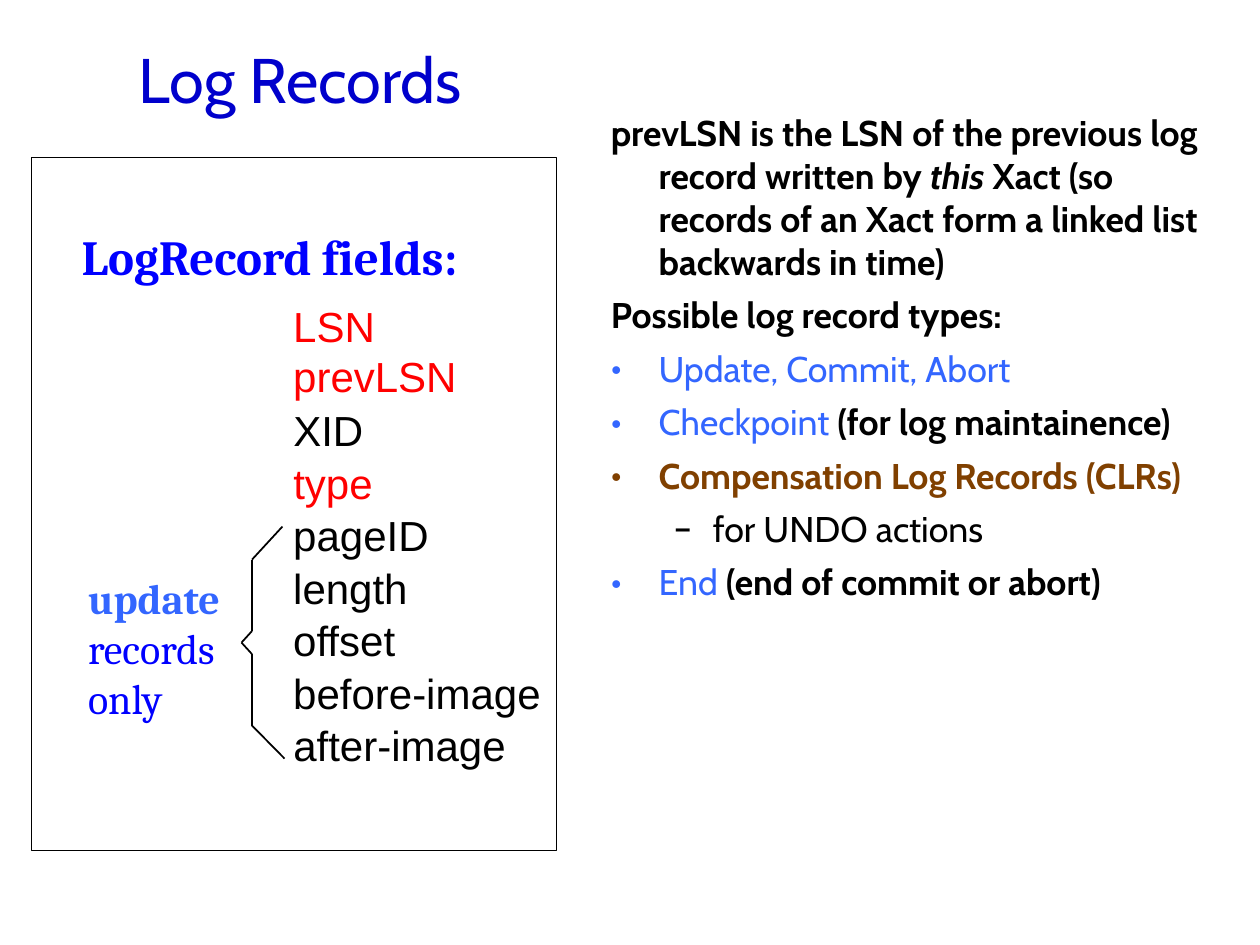
from dataclasses import dataclass
from itertools import pairwise

import lxml.etree
import pptx
import pptx.dml.color
import pptx.enum.shapes
import pptx.enum.text
import pptx.oxml.ns
import pptx.util

COLORS = {
    "title": "0000CC",
    "label": "0000FF",
    "accent": "3366FF",
    "record": "804000",
    "key": "FF0000",
    "ink": "000000",
}
SLIDE_WIDTH, SLIDE_HEIGHT = 10, 7.5
GRID_COLUMNS = 24
CELL = SLIDE_WIDTH / GRID_COLUMNS


@dataclass
class Span:
    text: str
    color: str = "ink"
    bold: bool = False
    italic: bool = False


@dataclass
class Para:
    spans: list[Span]
    bullet: str = ""
    margin: float = 0
    indent: float = 0
    space: float = 0
    level: int = 0


@dataclass
class Area:
    column: float
    row: float
    columns: float
    rows: float

    def lengths(self) -> list[int]:
        return [grid(value) for value in (self.column, self.row, self.columns, self.rows)]


@dataclass
class Label:
    area: Area
    paras: list[Para]
    font: str
    size: float


def grid(cells: float) -> int:
    return pptx.util.Inches(cells * CELL)


def rgb(name: str) -> pptx.dml.color.RGBColor:
    return pptx.dml.color.RGBColor.from_string(COLORS[name])


def set_bullet(paragraph, para: Para, font: str) -> None:
    properties = paragraph._p.get_or_add_pPr()
    properties.set("marL", str(pptx.util.Inches(para.margin)))
    properties.set("indent", str(pptx.util.Inches(para.indent)))
    if not para.bullet:
        lxml.etree.SubElement(properties, pptx.oxml.ns.qn("a:buNone"))
        return
    color = lxml.etree.SubElement(properties, pptx.oxml.ns.qn("a:buClr"))
    value = lxml.etree.SubElement(color, pptx.oxml.ns.qn("a:srgbClr"))
    value.set("val", COLORS[para.spans[0].color])
    face = lxml.etree.SubElement(properties, pptx.oxml.ns.qn("a:buFont"))
    face.set("typeface", font)
    mark = lxml.etree.SubElement(properties, pptx.oxml.ns.qn("a:buChar"))
    mark.set("char", para.bullet)


def write(frame, paras: list[Para], font: str, size: float) -> None:
    frame.text = "\n".join("" for para in paras)
    for paragraph, para in zip(frame.paragraphs, paras):
        paragraph.alignment = pptx.enum.text.PP_ALIGN.LEFT
        paragraph.level = para.level
        paragraph.space_before = pptx.util.Pt(para.space)
        set_bullet(paragraph, para, font)
        for span in para.spans:
            run = paragraph.add_run()
            run.text = span.text
            run.font.name = font
            run.font.size = pptx.util.Pt(size)
            run.font.bold = span.bold
            run.font.italic = span.italic
            run.font.color.rgb = rgb(span.color)


def add_label(page, label: Label, wrap: bool = False) -> None:
    frame = page.shapes.add_textbox(*label.area.lengths()).text_frame
    frame.word_wrap = wrap
    sizes = pptx.enum.text.MSO_AUTO_SIZE
    frame.auto_size = sizes.NONE if wrap else sizes.SHAPE_TO_FIT_TEXT
    write(frame, label.paras, label.font, label.size)


def add_brace(page, points: list[tuple[float, float]]) -> None:
    for start, end in pairwise(points):
        line = page.shapes.add_connector(
            pptx.enum.shapes.MSO_CONNECTOR.STRAIGHT, *map(grid, start + end)
        )
        line.line.color.rgb = rgb("ink")
        line.line.width = pptx.util.Pt(1)
        lxml.etree.SubElement(line._element.spPr, pptx.oxml.ns.qn("a:effectLst"))


def add_frame(page, area: Area) -> None:
    box = page.shapes.add_shape(pptx.enum.shapes.MSO_SHAPE.RECTANGLE, *area.lengths())
    box.shadow.inherit = False
    box.fill.background()
    box.line.color.rgb = rgb("ink")
    box.line.width = pptx.util.Pt(1)


def add_title(page, text: str, area: Area) -> None:
    title = page.shapes.title
    title.left, title.top, title.width, title.height = area.lengths()
    title.text_frame.auto_size = pptx.enum.text.MSO_AUTO_SIZE.NONE
    title.text_frame.vertical_anchor = pptx.enum.text.MSO_ANCHOR.MIDDLE
    write(title.text_frame, [Para([Span(text, "title")])], "Cabin", 36)


def point(*spans: Span, bullet: str = "") -> Para:
    return Para(list(spans), bullet, 0.38, -0.38, 6)


NOTES = [
    point(
        Span("prevLSN is the LSN of the previous log record written by ", bold=True),
        Span("this", bold=True, italic=True),
        Span(" Xact (so records of an Xact form a linked list backwards in time)", bold=True),
    ),
    point(Span("Possible log record types:", bold=True)),
    point(Span("Update, Commit, Abort", "accent"), bullet="•"),
    point(
        Span("Checkpoint ", "accent"), Span("(for log maintainence)", bold=True), bullet="•"
    ),
    point(Span("Compensation Log Records (CLRs)", "record", True), bullet="•"),
    Para([Span("for UNDO actions")], "–", 0.81, -0.31, 6, 1),
    point(Span("End ", "accent"), Span("(end of commit or abort)", bold=True), bullet="•"),
]
KEYS = [Para([Span(name, "key")]) for name in ("LSN", "prevLSN")]
FIELDS = [
    ("XID", "ink", 1.9),
    ("type", "key", 2.1),
    ("pageID", "ink", 3.15),
    ("length", "ink", 2.77),
    ("offset", "ink", 2.53),
    ("before-image", "ink", 5.28),
    ("after-image", "ink", 4.61),
]
FIELD_COLUMN, FIRST_FIELD_ROW = 5.35, 7.59
HEADING = [Para([Span("LogRecord fields:", "label", True)])]
SCOPE = [
    Para([Span("update", "accent", True)]),
    Para([Span("records", "label")]),
    Para([Span("only", "label")]),
]
BRACE = [
    (5.38, 10.03),
    (4.8, 10.66),
    (4.8, 12.02),
    (4.6, 12.24),
    (4.8, 12.46),
    (4.8, 13.82),
    (5.42, 14.45),
]


def main() -> None:
    deck = pptx.Presentation()
    deck.slide_width = pptx.util.Inches(SLIDE_WIDTH)
    deck.slide_height = pptx.util.Inches(SLIDE_HEIGHT)
    page = deck.slides.add_slide(deck.slide_layouts.get_by_name("Title Only"))
    add_title(page, "Log Records", Area(2.4, 0, 20.4, 3))
    add_label(page, Label(Area(11.4, 2, 12, 11.5), NOTES, "Cabin", 20.4), wrap=True)
    add_label(page, Label(Area(FIELD_COLUMN, 5.6, 3.6, 2.16), KEYS, "Arial", 24))
    for index, (name, color, columns) in enumerate(FIELDS):
        area = Area(FIELD_COLUMN, FIRST_FIELD_ROW + index, columns, 1.2)
        add_label(page, Label(area, [Para([Span(name, color)])], "Arial", 24))
    add_label(page, Label(Area(1.32, 4.2, 8.45, 1.35), HEADING, "Cambria", 28))
    add_brace(page, BRACE)
    add_label(page, Label(Area(1.44, 10.78, 3.34, 3.12), SCOPE, "Cambria", 24))
    add_frame(page, Area(0.6, 3, 10, 13.2))
    deck.save("out.pptx")


if __name__ == "__main__":
    main()
